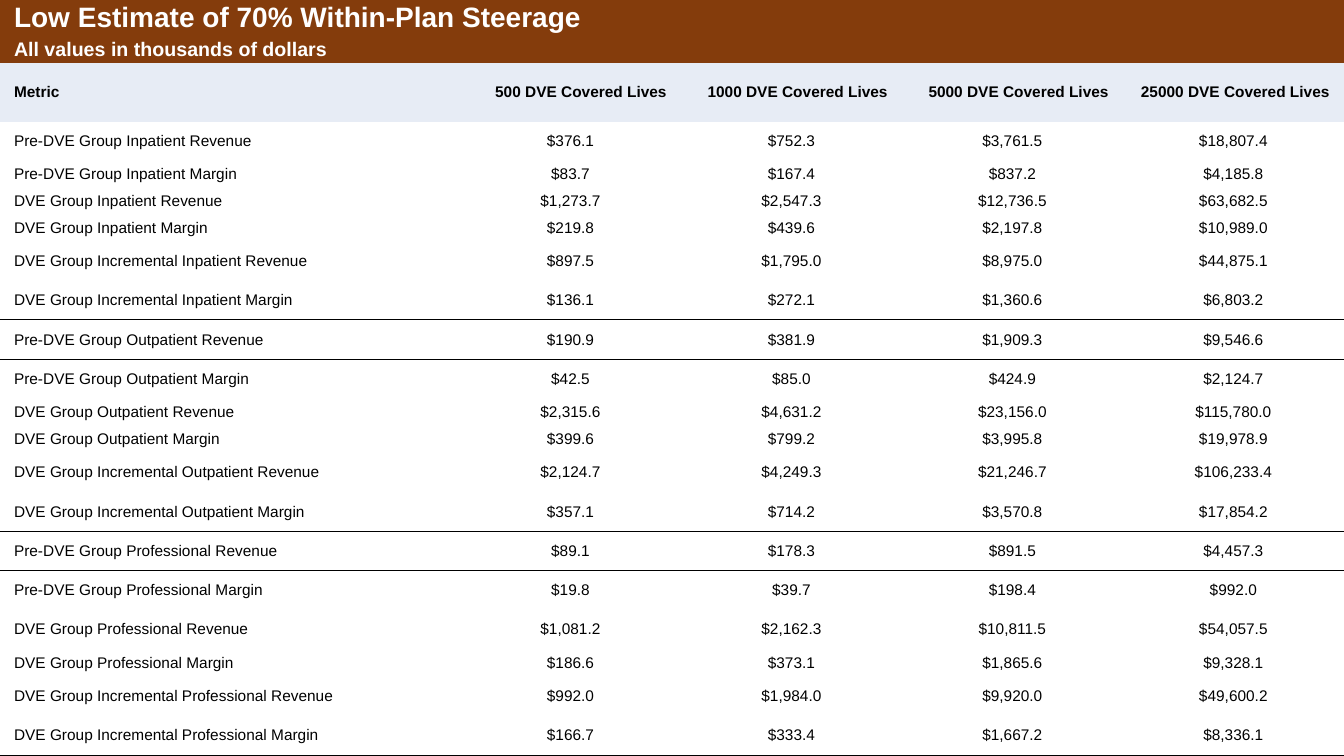
import pptx
import pptx.dml.color
import pptx.enum.text
import pptx.oxml.ns
import pptx.util
from lxml import etree

RGBColor = pptx.dml.color.RGBColor
Align = pptx.enum.text.PP_ALIGN
BROWN = RGBColor(0x84, 0x3C, 0x0C)
PALE_BLUE = RGBColor(0xE7, 0xEC, 0xF5)
WHITE = RGBColor(0xFF, 0xFF, 0xFF)
BLACK = RGBColor(0, 0, 0)

PLAIN_TABLE_STYLE = "{2D5ABB26-0587-4C30-8999-92F81FD0307C}"
COLUMN_WIDTHS = [460, 221, 221, 221, 221]
BANNER_HEIGHTS = [36, 27]
HEADER_HEIGHT = 59
HEADER = ["Metric"] + [f"{lives} DVE Covered Lives" for lives in (500, 1000, 5000, 25000)]
MEASURES = [
    f"{stage} {{}} {measure}"
    for stage in ("Pre-DVE Group", "DVE Group", "DVE Group Incremental")
    for measure in ("Revenue", "Margin")
]
GROUPS = {
    "Inpatient": (
        [39, 27, 27, 27, 39, 39],
        [
            (376.1, 752.3, 3761.5, 18807.4),
            (83.7, 167.4, 837.2, 4185.8),
            (1273.7, 2547.3, 12736.5, 63682.5),
            (219.8, 439.6, 2197.8, 10989.0),
            (897.5, 1795.0, 8975.0, 44875.1),
            (136.1, 272.1, 1360.6, 6803.2),
        ],
    ),
    "Outpatient": (
        [40, 39, 27, 27, 39, 40],
        [
            (190.9, 381.9, 1909.3, 9546.6),
            (42.5, 85.0, 424.9, 2124.7),
            (2315.6, 4631.2, 23156.0, 115780.0),
            (399.6, 799.2, 3995.8, 19978.9),
            (2124.7, 4249.3, 21246.7, 106233.4),
            (357.1, 714.2, 3570.8, 17854.2),
        ],
    ),
    "Professional": (
        [39, 39, 40, 27, 39, 40],
        [
            (89.1, 178.3, 891.5, 4457.3),
            (19.8, 39.7, 198.4, 992.0),
            (1081.2, 2162.3, 10811.5, 54057.5),
            (186.6, 373.1, 1865.6, 9328.1),
            (992.0, 1984.0, 9920.0, 49600.2),
            (166.7, 333.4, 1667.2, 8336.1),
        ],
    ),
}


class SteerageSlide:
    """Holds the style and the current page, and draws its table."""

    FONT = "Arial"
    INDENT = 14
    SCALE = 914400 / 100.8

    def __init__(self, deck):
        deck.slide_width, deck.slide_height = self.px(1344), self.px(756)
        self.page = deck.slides.add_slide(deck.slide_layouts[6])

    def px(self, length):
        return pptx.util.Emu(round(length * self.SCALE))

    def table(self, widths, heights):
        frame = self.page.shapes.add_table(
            len(heights), len(widths), 0, 0, self.px(sum(widths)), self.px(sum(heights))
        )
        table = frame.table
        table.first_row = table.horz_banding = False
        table._tbl.tblPr.find(pptx.oxml.ns.qn("a:tableStyleId")).text = PLAIN_TABLE_STYLE
        for column, width in zip(table.columns, widths):
            column.width = self.px(width)
        for row, height in zip(table.rows, heights):
            row.height = self.px(height)
        return table

    def cell(self, cell, text, size=11, color=BLACK, bold=False, fill=None, align=Align.LEFT):
        cell.margin_left = cell.margin_right = cell.margin_top = cell.margin_bottom = 0
        cell.vertical_anchor = pptx.enum.text.MSO_ANCHOR.MIDDLE
        if fill is None:
            cell.fill.background()
        else:
            cell.fill.solid()
            cell.fill.fore_color.rgb = fill
        para = cell.text_frame.paragraphs[0]
        para.text = text
        para.alignment = align
        properties = para._p.get_or_add_pPr()
        for side in ("marL", "marR"):
            properties.set(side, str(self.px(self.INDENT)))
        properties.set("indent", "0")
        font = para.font
        font.name, font.size, font.bold = self.FONT, pptx.util.Pt(size), bold
        font.color.rgb = color

    def banner(self, row, text, size):
        cells = list(row.cells)
        for cell, words in zip(cells, [text] + [""] * (len(cells) - 1)):
            self.cell(cell, words, size, WHITE, True, BROWN)
        cells[0].merge(cells[-1])

    def header(self, row, labels):
        for index, (cell, label) in enumerate(zip(row.cells, labels)):
            align = Align.RIGHT if index else Align.LEFT
            self.cell(cell, label, bold=True, fill=PALE_BLUE, align=align)

    def metric(self, row, label, values):
        cells = list(row.cells)
        self.cell(cells[0], label)
        for cell, value in zip(cells[1:], values):
            self.cell(cell, f"${value:,.1f}", align=Align.CENTER)

    def rule(self, row, edge):
        qn = pptx.oxml.ns.qn
        for cell in row.cells:
            line = etree.Element(qn(f"a:{edge}"), w=str(pptx.util.Pt(1)))
            fill = etree.SubElement(line, qn("a:solidFill"))
            etree.SubElement(fill, qn("a:srgbClr"), val=str(BLACK))
            cell._tc.get_or_add_tcPr().insert(0, line)


def main():
    deck = pptx.Presentation()
    slide = SteerageSlide(deck)
    heights = BANNER_HEIGHTS + [HEADER_HEIGHT]
    for group_heights, _ in GROUPS.values():
        heights += group_heights
    rows = list(slide.table(COLUMN_WIDTHS, heights).rows)

    slide.banner(rows[0], "Low Estimate of 70% Within-Plan Steerage", 20)
    slide.banner(rows[1], "All values in thousands of dollars", 14)
    slide.header(rows[2], HEADER)

    start = 3
    for name, (_, records) in GROUPS.items():
        group_rows = rows[start:start + len(records)]
        for row, measure, values in zip(group_rows, MEASURES, records):
            slide.metric(row, measure.format(name), values)
        slide.rule(group_rows[-1], "lnB")
        if start > 3:
            slide.rule(group_rows[0], "lnT")
        start += len(records)

    deck.save("out.pptx")


if __name__ == "__main__":
    main()
